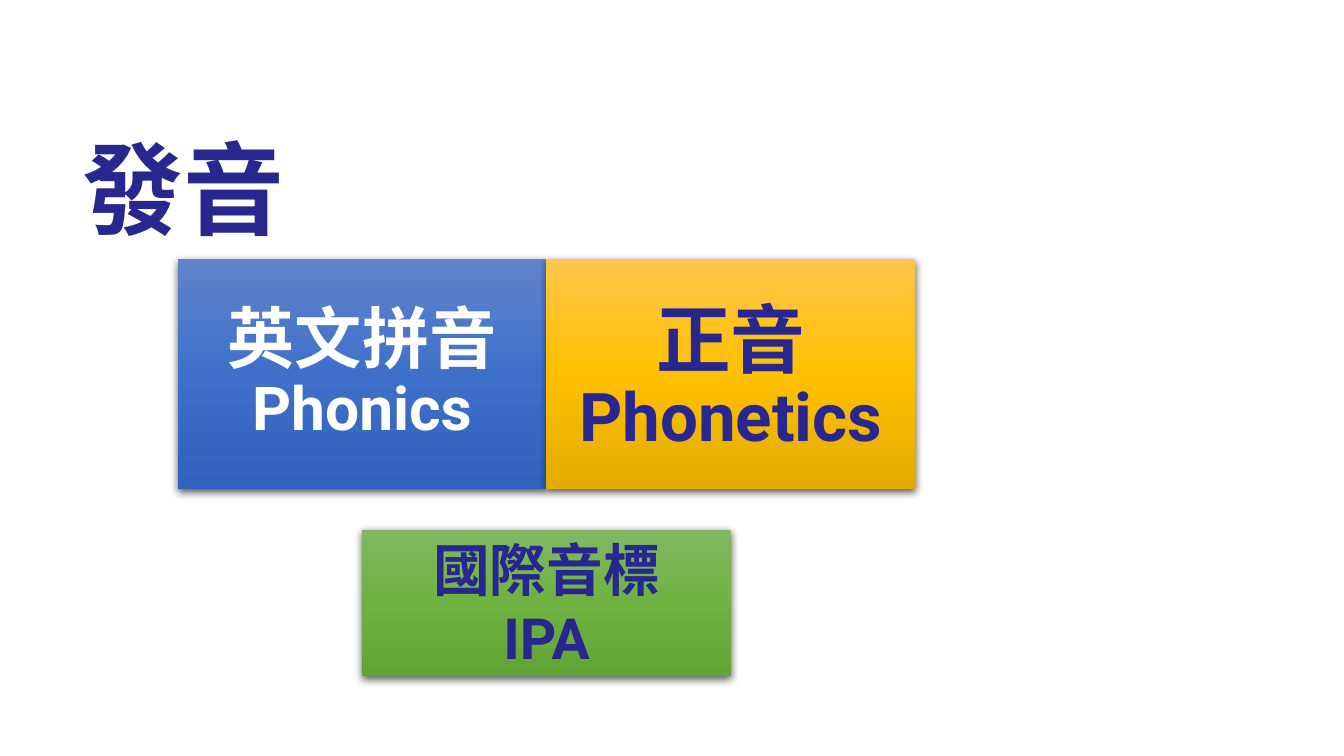
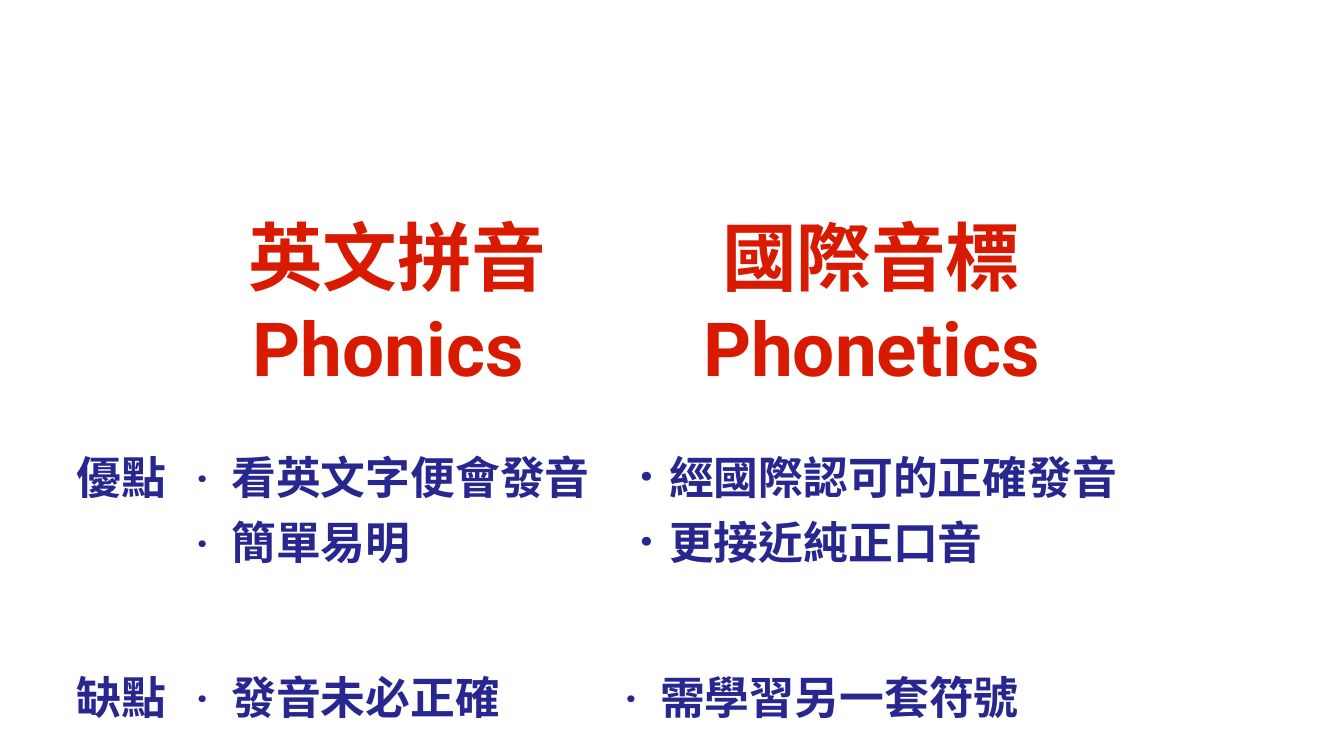
import copy

import lxml.etree
import pptx
import pptx.dml.color
import pptx.enum.shapes
import pptx.enum.text
import pptx.oxml
import pptx.oxml.ns
import pptx.util

Pt = pptx.util.Pt
CENTER = pptx.enum.text.PP_ALIGN.CENTER
LEFT = pptx.enum.text.PP_ALIGN.LEFT

# Shared style
FONT, LANGUAGE = "Roboto", "zh-TW"
NAVY, RED, WHITE = "28278F", "D71A00", "FFFFFF"
BLUE = ("6183CB", "3E70CA", "3062BB")
GOLD = ("FFC64B", "FFC000", "E3AB00")
GREEN = ("81B861", "6FB242", "62A336")

# Slide 1: each paragraph is a list of (line, size)
HEADING = [[("發音", 54)]]
PHONICS = [[("英文拼音", 36), ("Phonics", 32.4)]]
PHONETICS = [[("正音", 40)], [("Phonetics", 36)]]
IPA = [[("國際音標", 30.4)], [("IPA", 30.4)]]
BLOCK_LEFT, BLOCK_TOP, BLOCK_W, BLOCK_H = 95.25, 139, 197.5, 123
IPA_TOP, LABEL_W, LABEL_H = 283.75, 270, 78.5

# Slide 2: each cell is a list of paragraphs, each a list of lines
COMPARISON = [
    [[], [["英文拼音"], ["Phonics "]], [["國際音標"], ["Phonetics"]]],
    [[["優點"]], [["·  看英文字便會發音", "·  簡單易明"]],
     [["．經國際認可的正確發音", "．更接近純正口音"]]],
    [[["缺點"]], [["·  發音未必正確"]], [["·  需學習另一套符號"]]],
]
COLUMNS, ROWS = (66.25, 229.75, 278), (130.25, 80.5, 51)
HEADER_SIZE, BODY_SIZE, CELL_INSET = 40, 24, 6.75


def rgb(value):
    return pptx.dml.color.RGBColor.from_string(value)


def style_run(run, size, color, east_asian):
    run.font.name, run.font.size, run.font.bold = FONT, Pt(size), True
    run.font.color.rgb = rgb(color)
    properties = run.font._element
    properties.set("lang", LANGUAGE)
    if east_asian:
        face = lxml.etree.SubElement(properties, pptx.oxml.ns.qn("a:ea"))
        face.set("typeface", east_asian)


def write(frame, paragraphs, color, align=CENTER, spacing=None, east_asian=FONT):
    for i, lines in enumerate(paragraphs):
        paragraph = frame.paragraphs[0] if i == 0 else frame.add_paragraph()
        paragraph.alignment = align
        if spacing:
            paragraph.line_spacing = spacing
        for j, (line, size) in enumerate(lines):
            if j:
                # The break keeps the size of the line it ends
                paragraph.add_line_break()
                paragraph._p[-1].append(copy.deepcopy(run.font._element))
            run = paragraph.add_run()
            run.text = line
            style_run(run, size, color, east_asian)


def set_frame(frame, insets=None):
    frame.word_wrap = True
    frame.auto_size = pptx.enum.text.MSO_AUTO_SIZE.NONE
    frame.vertical_anchor = pptx.enum.text.MSO_ANCHOR.MIDDLE
    if insets:
        frame.margin_left = frame.margin_right = Pt(insets[0])
        frame.margin_top = frame.margin_bottom = Pt(insets[1])


def add_block(slide, left, top, height, gradient):
    block = slide.shapes.add_shape(
        pptx.enum.shapes.MSO_SHAPE.RECTANGLE,
        Pt(left), Pt(top), Pt(BLOCK_W), Pt(height))
    block.line.fill.background()
    block.shadow.inherit = False
    namespace = pptx.oxml.ns.nsdecls("a")
    stops = "".join(
        f'<a:gs pos="{i * 50000}"><a:srgbClr val="{color}"/></a:gs>'
        for i, color in enumerate(gradient))
    properties = block._element.spPr
    properties.find(pptx.oxml.ns.qn("a:ln")).addprevious(pptx.oxml.parse_xml(
        f'<a:gradFill {namespace} rotWithShape="1"><a:gsLst>{stops}</a:gsLst>'
        '<a:lin ang="5400000" scaled="0"/></a:gradFill>'))
    properties.find(pptx.oxml.ns.qn("a:effectLst")).append(pptx.oxml.parse_xml(
        f'<a:outerShdw {namespace} blurRad="{Pt(4.5)}" dist="{Pt(1.5)}" '
        'dir="5400000" algn="ctr" rotWithShape="0"><a:srgbClr val="000000">'
        '<a:alpha val="63000"/></a:srgbClr></a:outerShdw>'))
    return block


def build_pronunciation(deck):
    slide = deck.slides.add_slide(deck.slide_layouts[5])
    phonics_left, phonetics_left = (BLOCK_LEFT + i * BLOCK_W for i in range(2))
    overhang = (LABEL_W - BLOCK_W) / 2

    # Phonics block with the slide title in front of it
    add_block(slide, phonics_left, BLOCK_TOP, BLOCK_H, BLUE)
    title = slide.shapes.title
    title.left, title.top = Pt(phonics_left - overhang), Pt(161.25)
    title.width, title.height = Pt(LABEL_W), Pt(LABEL_H)
    set_frame(title.text_frame)
    write(title.text_frame, PHONICS, WHITE, spacing=0.9)
    slide.shapes._spTree.append(title._element)

    # Phonetics block and label
    add_block(slide, phonetics_left, BLOCK_TOP, BLOCK_H, GOLD)
    label = slide.shapes.add_textbox(
        Pt(phonetics_left - overhang), Pt(164), Pt(LABEL_W), Pt(LABEL_H))
    set_frame(label.text_frame, (5, 3))
    write(label.text_frame, PHONETICS, NAVY, spacing=0.9)

    # IPA block, centred below the other two
    ipa = add_block(slide, BLOCK_LEFT + BLOCK_W / 2, IPA_TOP, LABEL_H, GREEN)
    set_frame(ipa.text_frame, (5, 3))
    write(ipa.text_frame, IPA, NAVY)

    # Heading
    heading = slide.shapes.add_textbox(Pt(37), Pt(31.75), Pt(612), Pt(85.75))
    set_frame(heading.text_frame)
    heading.text_frame.vertical_anchor = pptx.enum.text.MSO_ANCHOR.TOP
    write(heading.text_frame, HEADING, NAVY, LEFT, 1.5)
    heading.text_frame.paragraphs[0].space_before = Pt(7.5)


def build_comparison(deck):
    slide = deck.slides.add_slide(deck.slide_layouts[6])
    comparison = slide.shapes.add_table(
        len(ROWS), len(COLUMNS), Pt(31.75), Pt(100),
        Pt(sum(COLUMNS)), Pt(sum(ROWS))).table
    comparison.first_row = comparison.horz_banding = False
    for column, width in zip(comparison.columns, COLUMNS):
        column.width = Pt(width)
    for r, (height, entries) in enumerate(zip(ROWS, COMPARISON)):
        comparison.rows[r].height = Pt(height)
        size, color = (BODY_SIZE, NAVY) if r else (HEADER_SIZE, RED)
        for c, entry in enumerate(entries):
            cell = comparison.cell(r, c)
            cell.fill.background()
            cell.margin_left = cell.margin_right = Pt(CELL_INSET)
            cell.margin_top = cell.margin_bottom = Pt(CELL_INSET)
            sized = [[(line, size) for line in lines] for lines in entry]
            # Chinese text in the table takes the default East Asian face
            write(cell.text_frame, sized, color, LEFT if r and c else CENTER,
                  east_asian=None)


def main():
    deck = pptx.Presentation()
    deck.slide_width, deck.slide_height = Pt(720), Pt(405)
    build_pronunciation(deck)
    build_comparison(deck)
    deck.save("out.pptx")


if __name__ == "__main__":
    main()
